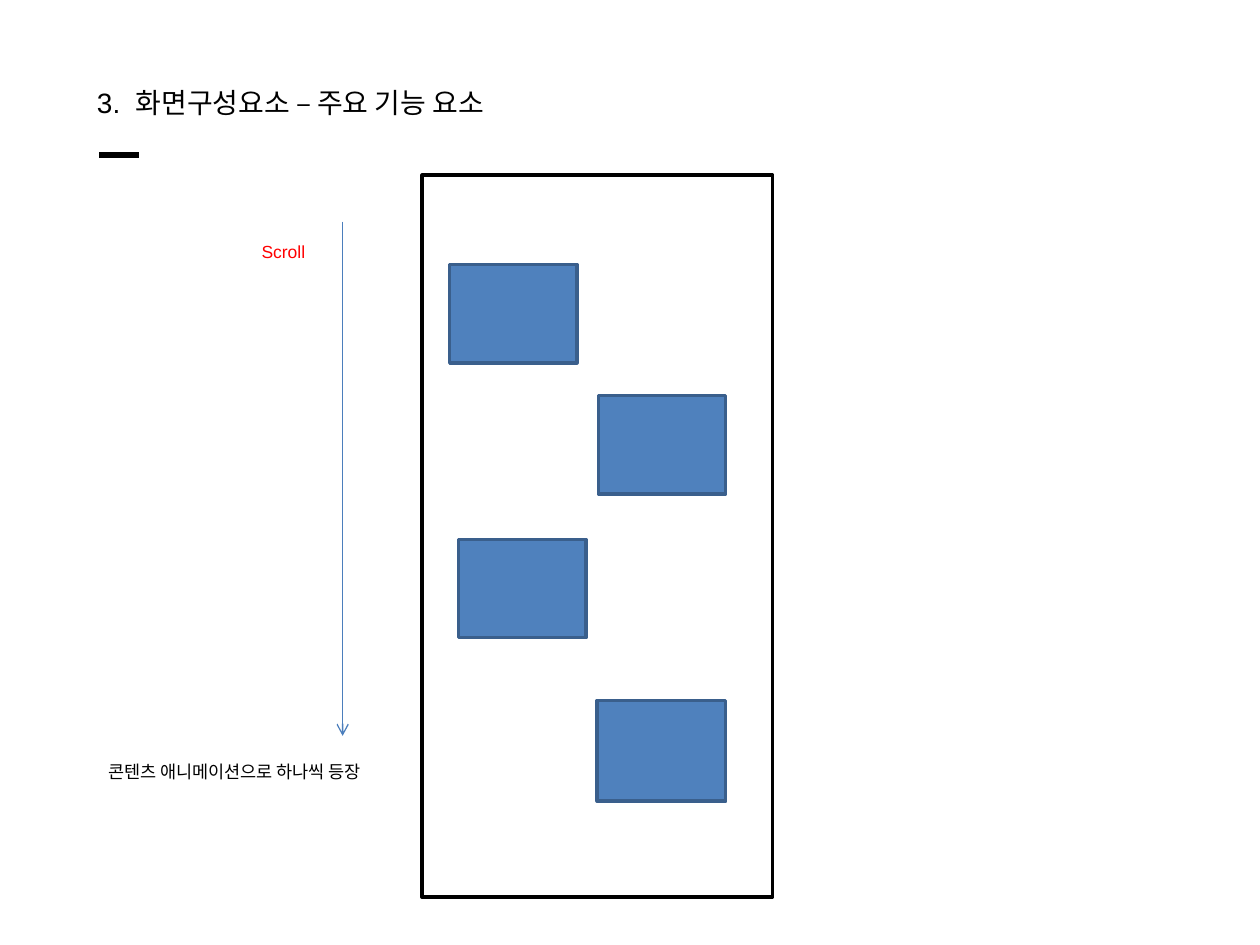
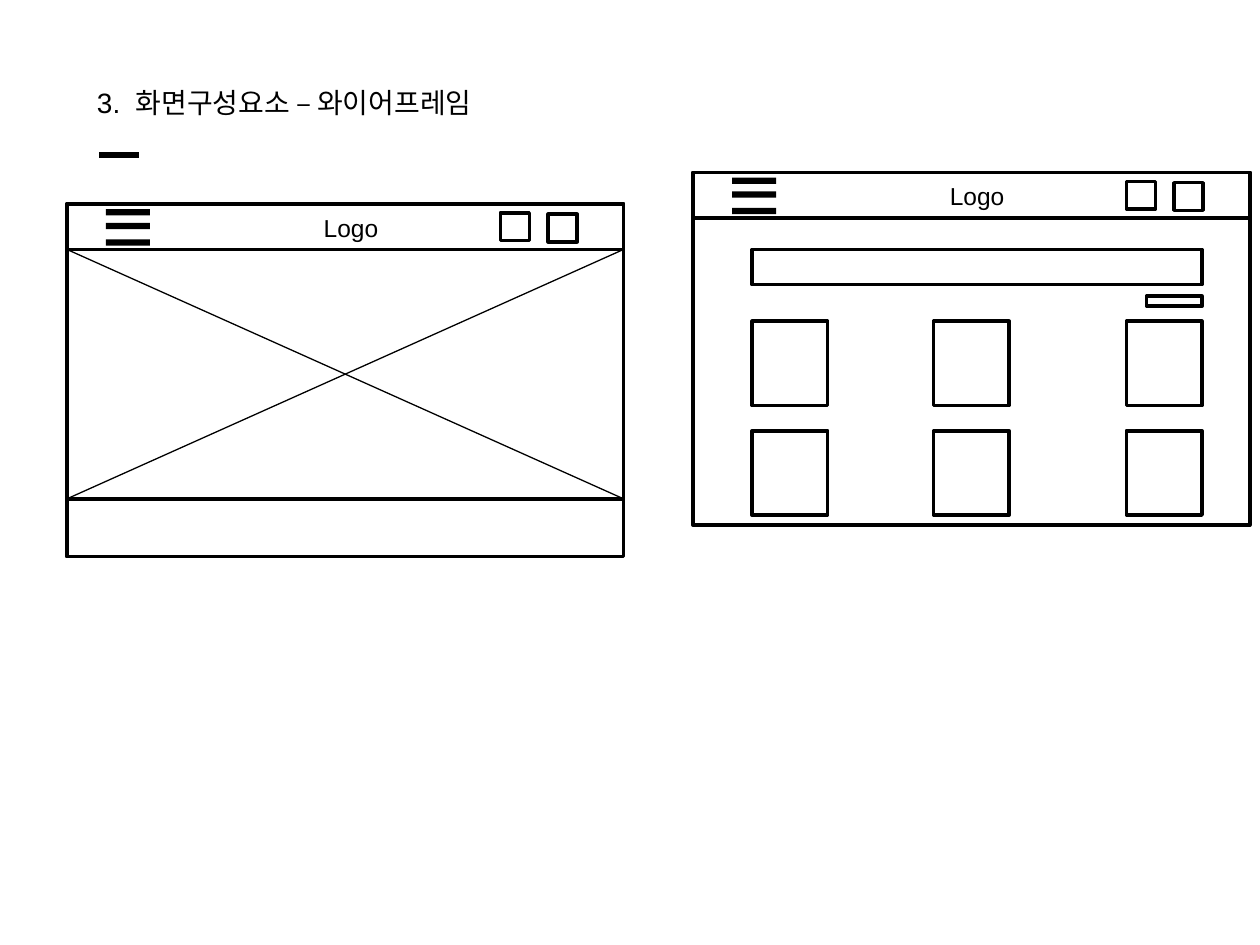
"""Build two slides on screen composition: scroll animation and wireframes."""
import pptx
import pptx.util
import pptx.dml.color
import pptx.enum.shapes
import pptx.enum.text
import pptx.oxml.ns
import lxml.etree

Pt = pptx.util.Pt
COLORS = {"ink": "000000", "paper": "FFFFFF", "card": "4F81BD",
          "card_edge": "3A5F8C", "arrow": "4B7EBC", "accent": "FF0000"}
FONT = "Arial"

SECTION = "3."
TITLES = ["화면구성요소 – 주요 기능 요소", "화면구성요소 – 와이어프레임"]
TITLE_BOX = (54.7, 48.2, 318, 20.2)
TITLE_RULE = (56.6, 88.6, 79.4, 88.6)

PHONE_SCREEN = (241.2, 100.1, 200.2, 412.6)
CONTENT_CARDS = [(257, 151.2, 72.7, 56.2), (342, 226.1, 72.7, 56.2),
                 (262.1, 308.2, 72.7, 56.2), (341.3, 400.3, 73.4, 57.6)]
SCROLL_ARROW = (195.8, 126.7, 195.8, 420.5)
SCROLL_LABEL = ("Scroll", (127.4, 133.9, 69.1, 19.4))
ANIMATION_NOTE = ("콘텐츠 애니메이션으로 하나씩 등장", (54.7, 431.3, 174.2, 19.4))

PAGE_WIDTH, PAGE_HEIGHT, HEADER_HEIGHT = 318.2, 201.6, 25.9
HOME_ORIGIN = (38.2, 116.6)
LIST_ORIGIN = (396, 98.6)
LOGO_LABEL = ("Logo", (139.7, 1.4, 46.1, 24.5))
MENU_BARS = [(22.3, y, 25.2, 3.6) for y in (2.9, 10.8, 20.2)]
HEADER_ICONS = [(247.7, 5, 16.6, 15.8), (275, 5.8, 16.6, 15.8)]
HERO_HEIGHT = 142.6
SEARCH_BAR = (33.8, 43.9, 257, 20.2)
FILTER_BUTTON = (259.2, 70.6, 31.7, 5.8)
ITEM_COLUMNS, ITEM_ROWS, ITEM_SIZE = (33.8, 137.5, 247.7), (85, 147.6), (43.2, 48.2)


def rgb(name):
    return pptx.dml.color.RGBColor.from_string(COLORS[name])


def offset(box, origin):
    x, y, width, height = box
    return x + origin[0], y + origin[1], width, height


def add_box(slide, box, fill=None, edge="ink"):
    shape = slide.shapes.add_shape(
        pptx.enum.shapes.MSO_SHAPE.RECTANGLE, *map(Pt, box))
    shape.shadow.inherit = False
    if fill:
        shape.fill.solid()
        shape.fill.fore_color.rgb = rgb(fill)
    else:
        shape.fill.background()
    if edge:
        shape.line.color.rgb = rgb(edge)
        shape.line.width = Pt(2)
    else:
        shape.line.fill.background()


def add_line(slide, ends, color="ink", width=0.75, arrow=False):
    line = slide.shapes.add_connector(
        pptx.enum.shapes.MSO_CONNECTOR.STRAIGHT, *map(Pt, ends))
    line.line.color.rgb = rgb(color)
    line.line.width = Pt(width)
    qn = pptx.oxml.ns.qn
    if arrow:
        lxml.etree.SubElement(line.line._get_or_add_ln(), qn("a:tailEnd"), type="arrow")
    lxml.etree.SubElement(line._element.spPr, qn("a:effectLst"))


def style(paragraph, size, color="ink"):
    paragraph.font.name = FONT
    paragraph.font.size = Pt(size)
    paragraph.font.color.rgb = rgb(color)


def add_label(slide, text, box, size=10, color="ink", centered=False):
    frame = slide.shapes.add_textbox(*map(Pt, box)).text_frame
    frame.word_wrap = centered
    paragraph = frame.paragraphs[0]
    paragraph.text = text
    style(paragraph, size, color)
    if centered:
        paragraph.alignment = pptx.enum.text.PP_ALIGN.CENTER


def add_titled_slide(deck, title):
    slide = deck.slides.add_slide(deck.slide_layouts[5])
    heading = slide.shapes.title
    heading.left, heading.top, heading.width, heading.height = map(Pt, TITLE_BOX)
    frame = heading.text_frame
    frame.margin_left, frame.margin_top = Pt(0.7), Pt(0.7)
    frame.margin_right = frame.margin_bottom = Pt(0)
    frame.vertical_anchor = pptx.enum.text.MSO_ANCHOR.TOP
    frame.auto_size = pptx.enum.text.MSO_AUTO_SIZE.NONE
    frame.word_wrap = True
    paragraph = frame.paragraphs[0]
    paragraph.alignment = pptx.enum.text.PP_ALIGN.LEFT
    for part in (SECTION, " ", title):
        paragraph.add_run().text = part
    style(paragraph, 16)
    paragraph.runs[1].font._element.set("spc", "445")
    add_line(slide, TITLE_RULE, width=3.6)
    return slide


def add_page_frame(slide, origin):
    for height in (PAGE_HEIGHT, HEADER_HEIGHT):
        add_box(slide, (*origin, PAGE_WIDTH, height))
    text, box = LOGO_LABEL
    add_label(slide, text, offset(box, origin), size=14)
    for bar in MENU_BARS:
        add_box(slide, offset(bar, origin), fill="ink", edge=None)
    for icon in HEADER_ICONS:
        add_box(slide, offset(icon, origin))


def build_scroll_slide(deck):
    slide = add_titled_slide(deck, TITLES[0])
    add_box(slide, PHONE_SCREEN, fill="paper")
    add_line(slide, SCROLL_ARROW, color="arrow", arrow=True)
    add_label(slide, *SCROLL_LABEL, color="accent", centered=True)
    for card in CONTENT_CARDS:
        add_box(slide, card, fill="card", edge="card_edge")
    add_label(slide, *ANIMATION_NOTE)


def build_wireframe_slide(deck):
    slide = add_titled_slide(deck, TITLES[1])
    add_page_frame(slide, LIST_ORIGIN)
    items = [(x, y, *ITEM_SIZE) for y in ITEM_ROWS for x in ITEM_COLUMNS]
    for part in [SEARCH_BAR, FILTER_BUTTON, *items]:
        add_box(slide, offset(part, LIST_ORIGIN))

    add_page_frame(slide, HOME_ORIGIN)
    left, top = HOME_ORIGIN[0], HOME_ORIGIN[1] + HEADER_HEIGHT
    right, bottom = left + PAGE_WIDTH, top + HERO_HEIGHT
    add_box(slide, (left, top, PAGE_WIDTH, HERO_HEIGHT))
    add_line(slide, (left, top, right, bottom))
    add_line(slide, (left, bottom, right, top))


def main():
    deck = pptx.Presentation()
    deck.slide_width, deck.slide_height = Pt(720), Pt(540)
    build_scroll_slide(deck)
    build_wireframe_slide(deck)
    deck.save("out.pptx")


if __name__ == "__main__":
    main()
